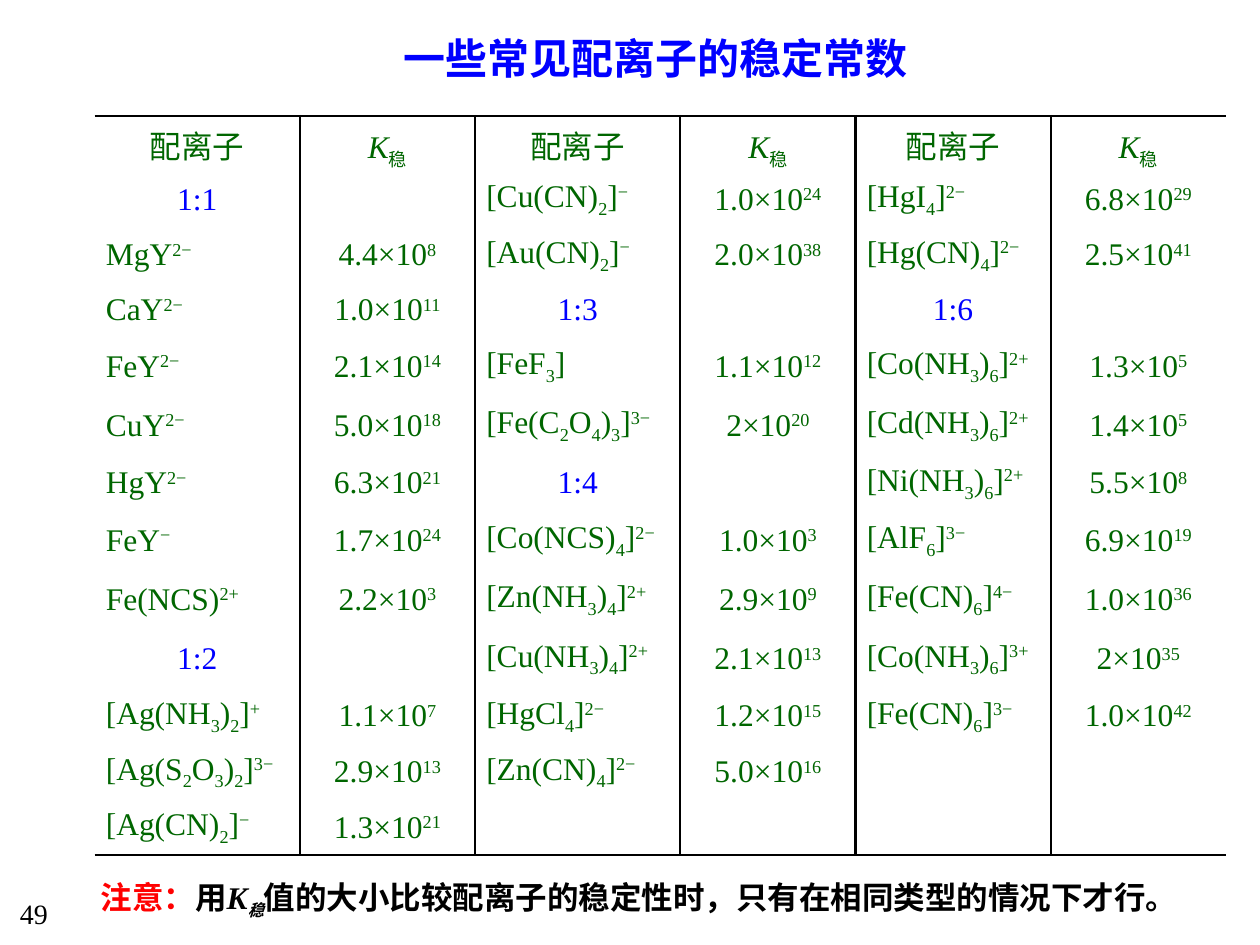
from dataclasses import dataclass
from itertools import groupby

from lxml import etree
from pptx import Presentation
from pptx.dml.color import RGBColor
from pptx.enum.text import MSO_ANCHOR, PP_ALIGN
from pptx.oxml.ns import qn
from pptx.util import Inches, Pt

CENTER, LEFT = PP_ALIGN.CENTER, PP_ALIGN.LEFT
MIDDLE, TOP = MSO_ANCHOR.MIDDLE, MSO_ANCHOR.TOP
TITLE_ONLY = 5


@dataclass(frozen=True)
class Theme:
    font: str = "Times New Roman"
    blue: str = "0000FF"
    green: str = "006600"
    red: str = "FF0000"
    black: str = "000000"
    title: int = 24
    body: int = 18
    small: int = 16
    rule: float = 1.5
    sub: int = -25
    sup: int = 30


T = Theme()

# Each block is a pair of columns: complex ion^charge, stability constant.
BLOCKS = [
    [("1:1", ""), ("MgY^2−", "4.4×10^8"), ("CaY^2−", "1.0×10^11"),
     ("FeY^2−", "2.1×10^14"), ("CuY^2−", "5.0×10^18"), ("HgY^2−", "6.3×10^21"),
     ("FeY^−", "1.7×10^24"), ("Fe(NCS)^2+", "2.2×10^3"), ("1:2", ""),
     ("[Ag(NH3)2]^+", "1.1×10^7"), ("[Ag(S2O3)2]^3−", "2.9×10^13"),
     ("[Ag(CN)2]^−", "1.3×10^21")],
    [("[Cu(CN)2]^−", "1.0×10^24"), ("[Au(CN)2]^−", "2.0×10^38"), ("1:3", ""),
     ("[FeF3]", "1.1×10^12"), ("[Fe(C2O4)3]^3−", "2×10^20"), ("1:4", ""),
     ("[Co(NCS)4]^2−", "1.0×10^3"), ("[Zn(NH3)4]^2+", "2.9×10^9"),
     ("[Cu(NH3)4]^2+", "2.1×10^13"), ("[HgCl4]^2−", "1.2×10^15"),
     ("[Zn(CN)4]^2−", "5.0×10^16")],
    [("[HgI4]^2−", "6.8×10^29"), ("[Hg(CN)4]^2−", "2.5×10^41"), ("1:6", ""),
     ("[Co(NH3)6]^2+", "1.3×10^5"), ("[Cd(NH3)6]^2+", "1.4×10^5"),
     ("[Ni(NH3)6]^2+", "5.5×10^8"), ("[AlF6]^3−", "6.9×10^19"),
     ("[Fe(CN)6]^4−", "1.0×10^36"), ("[Co(NH3)6]^3+", "2×10^35"),
     ("[Fe(CN)6]^3−", "1.0×10^42")],
]
COL_WIDTHS = [1.63, 1.39, 1.63, 1.39, 1.55, 1.39]
ROW_HEIGHTS = [0.44, 0.43, 0.43, 0.43, 0.47, 0.47, 0.43,
               0.47, 0.47, 0.47, 0.44, 0.43, 0.43]


def format_paragraph(p, size, color, bold=False, align=LEFT):
    p.alignment = align
    p.font.name, p.font.size, p.font.bold = T.font, Pt(size), bold
    p.font.color.rgb = RGBColor.from_string(color)


def add_run(p, text, baseline=0, italic=None):
    r = p.add_run()
    r.text = text
    if baseline:
        r._r.get_or_add_rPr().set("baseline", str(baseline * 1000))
    if italic:
        r.font.italic = True
    return r


def add_k(p, italic_sub=False):
    """Write the stability constant symbol; return its subscript run."""
    add_run(p, "K", italic=True)
    return add_run(p, "稳", T.sub, italic_sub)


def add_scripted(p, text, subscripts):
    """Raise what follows ^ and, in formulas, lower the digits before it."""
    base, _, power = text.partition("^")
    if subscripts:
        for is_digit, chars in groupby(base, str.isdigit):
            add_run(p, "".join(chars), T.sub if is_digit else 0)
    else:
        add_run(p, base)
    if power:
        add_run(p, power, T.sup)


def set_borders(cell, sides):
    tcPr = cell._tc.get_or_add_tcPr()
    for side in "LRTB":
        ln = etree.SubElement(tcPr, qn(f"a:ln{side}"), w=str(Pt(T.rule)))
        if side in sides:
            fill = etree.SubElement(ln, qn("a:solidFill"))
            etree.SubElement(fill, qn("a:srgbClr"), val=T.black)
        else:
            etree.SubElement(ln, qn("a:noFill"))


def fill_cell(cell, row, col, text):
    is_ion = col % 2 == 0
    is_ratio = text.startswith("1:")
    p = cell.text_frame.paragraphs[0]
    if row == 0 and not is_ion:
        add_k(p)
    elif text:
        add_scripted(p, text, is_ion and not is_ratio)
    align = LEFT if is_ion and row and not is_ratio else CENTER
    format_paragraph(p, T.body, T.blue if is_ratio else T.green, align=align)
    cell.vertical_anchor = MIDDLE
    cell.margin_left = cell.margin_right = Inches(0.09)
    sides = {"L": col > 0, "R": col < len(COL_WIDTHS) - 1,
             "T": row == 0, "B": row == len(ROW_HEIGHTS) - 1}
    set_borders(cell, [side for side, shown in sides.items() if shown])
    cell.fill.background()


def add_constants_table(s, x, y, w, h):
    table = s.shapes.add_table(len(ROW_HEIGHTS), len(COL_WIDTHS), Inches(x),
                               Inches(y), Inches(w), Inches(h)).table
    table.first_row = table.horz_banding = False
    for column, width in zip(table.columns, COL_WIDTHS):
        column.width = Inches(width)
    for row, height in zip(table.rows, ROW_HEIGHTS):
        row.height = Inches(height)
    for b, block in enumerate(BLOCKS):
        pairs = [("配离子", "")] + block
        pairs += [("", "")] * (len(ROW_HEIGHTS) - len(pairs))
        for row, pair in enumerate(pairs):
            for col, text in enumerate(pair, 2 * b):
                fill_cell(table.cell(row, col), row, col, text)


def frame(sp, margin_x=0, margin_y=0, wrap=False):
    """Set margins and wrapping; return the first paragraph."""
    tf = sp.text_frame
    tf.margin_left = tf.margin_right = Inches(margin_x)
    tf.margin_top = tf.margin_bottom = Inches(margin_y)
    tf.word_wrap, tf.vertical_anchor = wrap, TOP
    return tf.paragraphs[0]


def add_title(s, x, y, w, h):
    sp = s.shapes.title
    sp.left, sp.top, sp.width, sp.height = map(Inches, (x, y, w, h))
    p = frame(sp, 0.1, 0.05)
    add_run(p, "一些常见配离子的稳定常数")
    format_paragraph(p, T.title, T.blue, True, CENTER)


def add_note(s, x, y, w, h):
    sp = s.shapes.add_textbox(*map(Inches, (x, y, w, h)))
    p = frame(sp, 0.1, 0.05)
    add_run(p, "注意：").font.color.rgb = RGBColor.from_string(T.red)
    add_run(p, "用")
    add_k(p, italic_sub=True).font.size = Pt(T.small)
    add_run(p, "值的大小比较配离子的稳定性时，只有在相同类型的情况下才行。")
    format_paragraph(p, T.body, T.black, True)


def add_page_number(s, x, y, w, h):
    sp = s.shapes.add_textbox(*map(Inches, (x, y, w, h)))
    p = frame(sp, 0.1, 0.05, wrap=True)
    add_run(p, "49")
    format_paragraph(p, T.small, T.black)


def main():
    prs = Presentation()
    prs.slide_width, prs.slide_height = Inches(10), Inches(7.5)
    s = prs.slides.add_slide(prs.slide_layouts[TITLE_ONLY])
    add_page_number(s, 0.06, 7.07, 0.51, 0.37)
    add_title(s, 3.07, 0.21, 4.26, 0.5)
    add_constants_table(s, 0.75, 0.92, sum(COL_WIDTHS), sum(ROW_HEIGHTS))
    add_note(s, 0.7, 6.92, 8.91, 0.4)
    prs.save("out.pptx")


if __name__ == "__main__":
    main()
